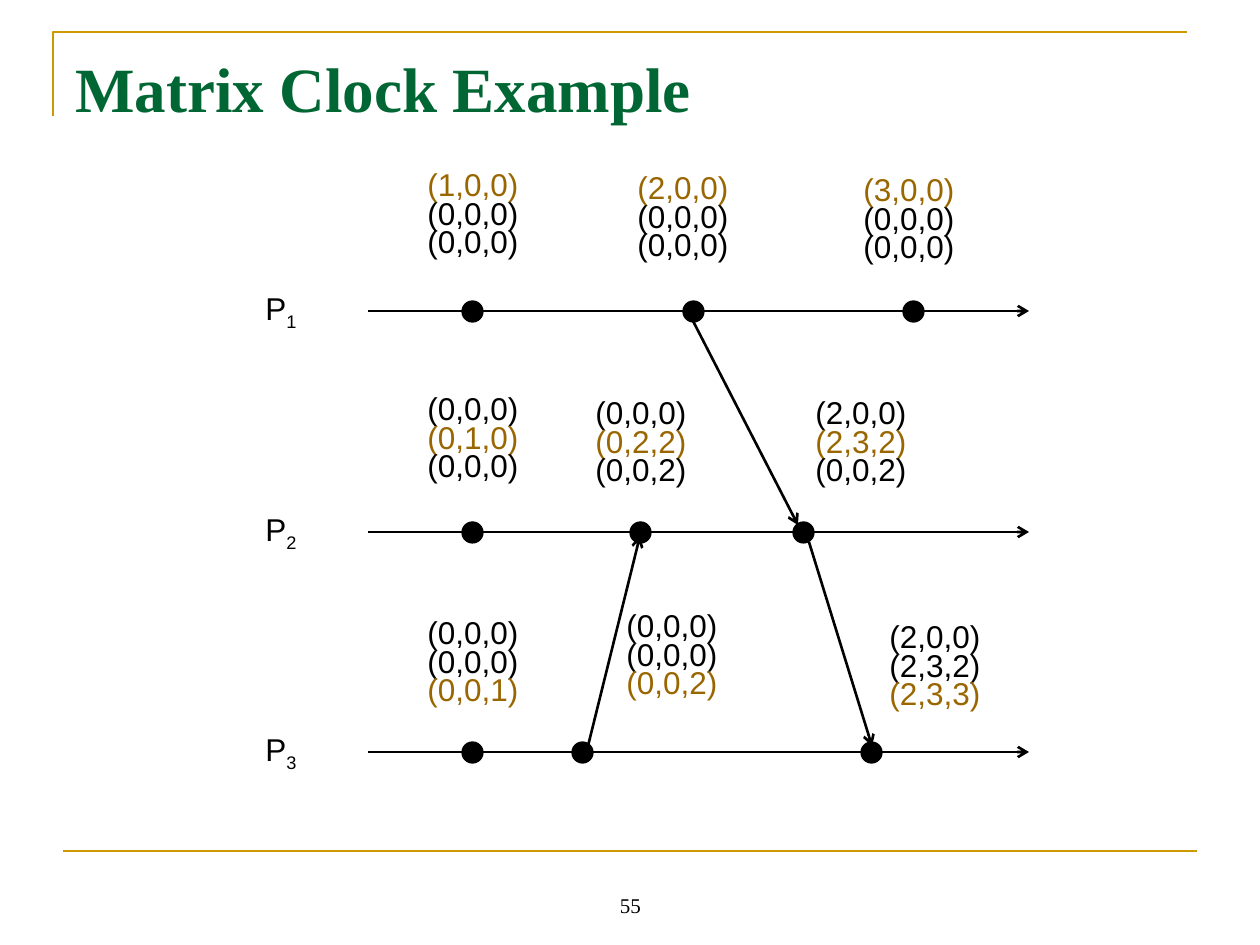
from lxml import etree
from pptx import Presentation, util as u
from pptx.dml.color import RGBColor
from pptx.enum import shapes, text
from pptx.oxml.ns import qn

PX = 914400 / 126
COLORS = {"black": "000000", "gold": "CC9900", "brown": "996600", "green": "006633"}

deck = Presentation()
deck.slide_width, deck.slide_height = u.Inches(10), u.Inches(7.5)
page = deck.slides.add_slide(deck.slide_layouts[6])


def write(lines, left, top, width, height, size=18, font="Arial", color="black",
          bold=False, align=text.PP_ALIGN.LEFT, anchor=text.MSO_ANCHOR.TOP,
          wrap=False, spacing=None, own=None, subscript=""):
    """Write lines in a text box; the line numbered own is brown."""
    box = page.shapes.add_textbox(*(round(n * PX) for n in (left, top, width, height)))
    frame = box.text_frame
    frame.word_wrap = wrap
    frame.vertical_anchor = anchor
    for index, line in enumerate(lines):
        para = frame.paragraphs[0] if index == 0 else frame.add_paragraph()
        para.alignment = align
        if spacing:
            para.line_spacing = spacing
        for part in filter(None, (line, subscript)):
            span = para.add_run()
            span.text = part
            span.font.size, span.font.name, span.font.bold = u.Pt(size), font, bold
            shade = "brown" if index == own else color
            span.font.color.rgb = RGBColor.from_string(COLORS[shade])
        if subscript:
            span.font._element.set("baseline", "-25000")


def connect(x1, y1, x2, y2, color="black", arrow=True):
    line = page.shapes.add_connector(
        shapes.MSO_CONNECTOR.STRAIGHT, *(round(n * PX) for n in (x1, y1, x2, y2)))
    line.line.color.rgb = RGBColor.from_string(COLORS[color])
    line.line.width = u.Pt(1.5)
    if arrow:
        etree.SubElement(line.line._get_or_add_ln(), qn("a:tailEnd"), type="arrow")
    etree.SubElement(line._element.spPr, qn("a:effectLst"))


# Frame lines
builder = page.shapes.build_freeform(53, 116, scale=PX)
builder.add_line_segments([(53, 32), (1187, 32)], close=False)
corner = builder.convert_to_shape()
corner.shadow.inherit = False
corner.fill.background()
corner.line.color.rgb = RGBColor.from_string(COLORS["gold"])
corner.line.width = u.Pt(1.5)
connect(63, 851, 1197, 851, color="gold", arrow=False)

# Title and page number
write(["Matrix Clock Example"], 63, 38, 1134, 98, size=36, font="Times New Roman",
      color="green", bold=True, anchor=text.MSO_ANCHOR.MIDDLE, wrap=True)
write(["55"], 431, 861, 399, 63, size=12, font="Times New Roman",
      align=text.PP_ALIGN.CENTER, anchor=text.MSO_ANCHOR.BOTTOM, wrap=True)

# Process timelines: height and left edges of the event dots
timelines = [
    (311, [462, 683, 903]),
    (532, [462, 630, 793]),
    (752, [462, 572, 861]),
]
for number, (y, dots) in enumerate(timelines, 1):
    for left in dots:
        dot = page.shapes.add_shape(
            shapes.MSO_SHAPE.OVAL, *(round(n * PX) for n in (left, y - 10, 21, 21)))
        dot.shadow.inherit = False
        dot.fill.solid()
        dot.fill.fore_color.rgb = RGBColor.from_string(COLORS["black"])
        dot.line.color.rgb = RGBColor.from_string(COLORS["black"])
        dot.line.width = u.Pt(0.75)
    connect(368, y, 1029, y)
    write(["P"], 253, y - 28, 57, 55, subscript=str(number))

# Messages between processes
for ends in [(693, 321, 798, 525), (809, 542, 872, 746), (588, 746, 640, 536)]:
    connect(*ends)

# Matrix clocks: left, top, own row, rows
clocks = [
    (415, 168, 0, "(1,0,0) (0,0,0) (0,0,0)"),
    (625, 171, 0, "(2,0,0) (0,0,0) (0,0,0)"),
    (851, 173, 0, "(3,0,0) (0,0,0) (0,0,0)"),
    (415, 392, 1, "(0,0,0) (0,1,0) (0,0,0)"),
    (583, 396, 1, "(0,0,0) (0,2,2) (0,0,2)"),
    (803, 396, 1, "(2,0,0) (2,3,2) (0,0,2)"),
    (415, 616, 2, "(0,0,0) (0,0,0) (0,0,1)"),
    (614, 609, 2, "(0,0,0) (0,0,0) (0,0,2)"),
    (877, 620, 2, "(2,0,0) (2,3,2) (2,3,3)"),
]
for left, top, own, rows in clocks:
    write(rows.split(), left, top, 116, 98, spacing=0.75, own=own)

deck.save("out.pptx")
